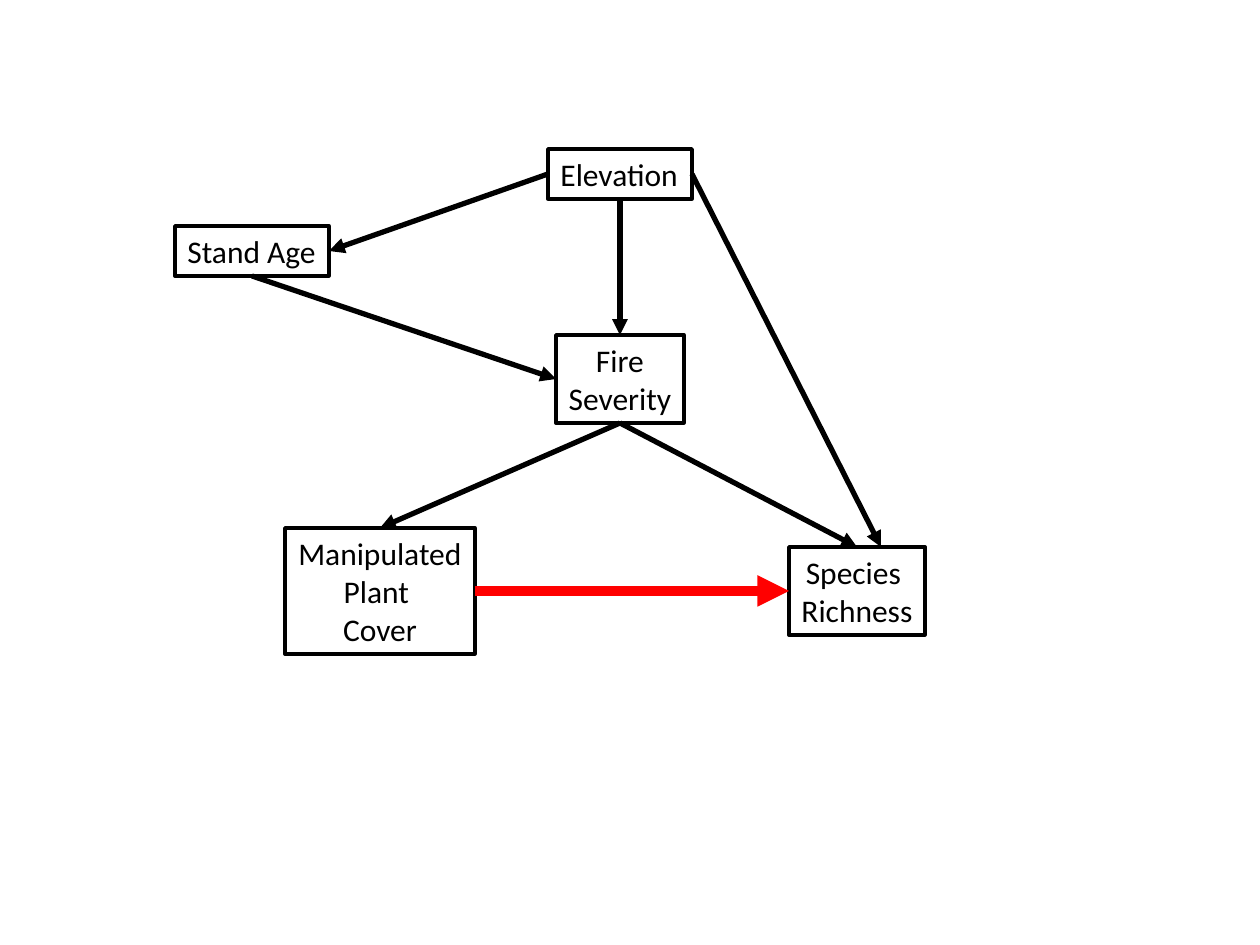
from dataclasses import dataclass

from lxml.etree import SubElement
from pptx import Presentation
from pptx.dml.color import RGBColor
from pptx.enum.shapes import MSO_CONNECTOR, MSO_SHAPE
from pptx.enum.text import MSO_ANCHOR, MSO_AUTO_SIZE, PP_ALIGN
from pptx.oxml.ns import qn
from pptx.util import Inches, Pt

PX_PER_INCH = 126
TOP, LEFT, BOTTOM, RIGHT = range(4)


def px(length):
    return round(Inches(1) * length / PX_PER_INCH)


@dataclass(frozen=True)
class Theme:
    ink: RGBColor = RGBColor(0, 0, 0)
    paper: RGBColor = RGBColor(255, 255, 255)
    accent: RGBColor = RGBColor(255, 0, 0)
    font: str = "Calibri"
    text_size: Pt = Pt(18)
    border: Pt = Pt(2)
    arrow: Pt = Pt(3)
    main_arrow: Pt = Pt(6)


class PathDiagram:
    def __init__(self, page, theme):
        self.page = page
        self.theme = theme

    def box(self, lines, left, top, width, height):
        theme = self.theme
        box = self.page.shapes.add_shape(
            MSO_SHAPE.RECTANGLE, px(left), px(top), px(width), px(height))
        box.shadow.inherit = False
        box.fill.solid()
        box.fill.fore_color.rgb = theme.paper
        box.line.color.rgb = theme.ink
        box.line.width = theme.border

        frame = box.text_frame
        frame.word_wrap = False
        frame.auto_size = MSO_AUTO_SIZE.SHAPE_TO_FIT_TEXT
        frame.vertical_anchor = MSO_ANCHOR.TOP
        for index, line in enumerate(lines):
            para = frame.add_paragraph() if index else frame.paragraphs[0]
            para.alignment = PP_ALIGN.CENTER if len(lines) > 1 else PP_ALIGN.LEFT
            span = para.add_run()
            span.text = line
            span.font.name = theme.font
            span.font.size = theme.text_size
            span.font.color.rgb = theme.ink
        return box

    def arrow(self, source, source_side, target, target_side, color=None, width=None):
        """Join two boxes; target may also be a free (x, y) point in px."""
        free_end = isinstance(target, tuple)
        end_x, end_y = target if free_end else (0, 0)
        arrow = self.page.shapes.add_connector(
            MSO_CONNECTOR.STRAIGHT, 0, 0, px(end_x), px(end_y))
        arrow.begin_connect(source, source_side)
        if not free_end:
            arrow.end_connect(target, target_side)
        arrow.line.color.rgb = color or self.theme.ink
        arrow.line.width = width or self.theme.arrow
        SubElement(arrow.line._get_or_add_ln(), qn("a:tailEnd"), type="triangle")
        SubElement(arrow._element.spPr, qn("a:effectLst"))


def main():
    deck = Presentation()
    deck.slide_width, deck.slide_height = Inches(10), Inches(7.5)
    theme = Theme()
    diagram = PathDiagram(deck.slides.add_slide(deck.slide_layouts[6]), theme)

    # Variables
    fire = diagram.box(["Fire", "Severity"], 556, 335, 128, 88)
    stand_age = diagram.box(["Stand Age"], 175, 226, 154, 50)
    elevation = diagram.box(["Elevation"], 548, 149, 144, 50)
    richness = diagram.box(["Species ", "Richness"], 789, 547, 136, 88)
    cover = diagram.box(["Manipulated", "Plant ", "Cover"], 285, 528, 190, 126)

    # Tested effect
    diagram.arrow(cover, RIGHT, richness, LEFT, theme.accent, theme.main_arrow)

    # Background effects
    diagram.arrow(stand_age, BOTTOM, fire, LEFT)
    diagram.arrow(elevation, BOTTOM, fire, TOP)
    diagram.arrow(elevation, LEFT, stand_age, RIGHT)
    diagram.arrow(fire, BOTTOM, richness, TOP)
    diagram.arrow(elevation, RIGHT, (881, 547), None)
    diagram.arrow(fire, BOTTOM, cover, TOP)

    deck.save("out.pptx")


if __name__ == "__main__":
    main()
